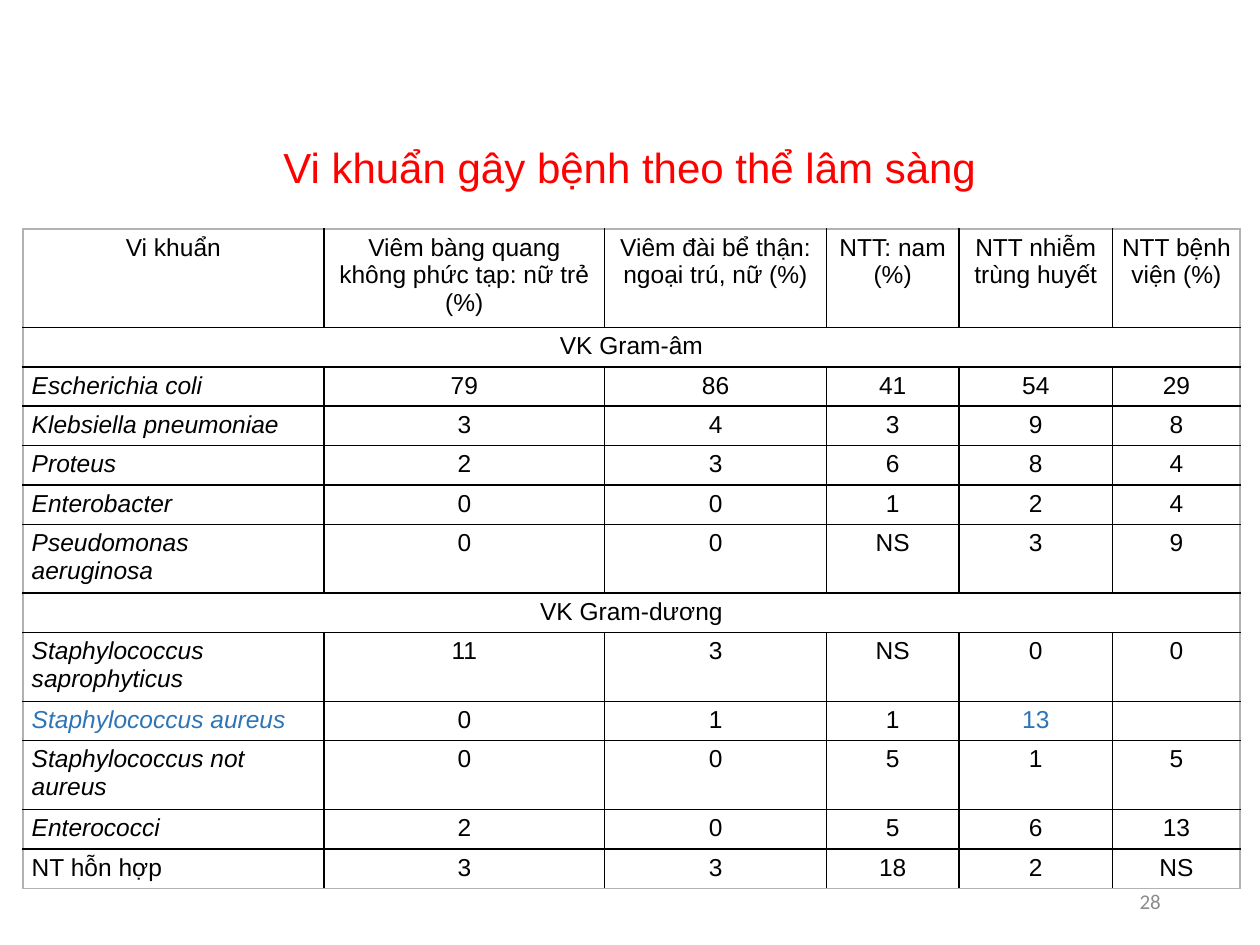
import lxml.etree
import pptx
import pptx.dml.color
import pptx.enum.text
import pptx.oxml.ns
import pptx.util

Cm = pptx.util.Cm
ALIGN = pptx.enum.text.PP_ALIGN
ANCHOR = pptx.enum.text.MSO_ANCHOR
COLORS = {"title": "FF0000", "text": "000000", "accent": "2E75B6",
          "number": "8C8C8C", "grid": "000000", "frame": "B2B2B2"}

COLUMN_WIDTHS = [6.07, 5.66, 4.47, 2.67, 3.1, 2.57]
ROW_HEIGHT, TALL_ROW_HEIGHT = 0.76, 1.35
TALL_ROWS = {0, 8, 10}
ROWS = [
    ["Vi khuẩn", "Viêm bàng quang không phức tạp: nữ trẻ (%)",
     "Viêm đài bể thận: ngoại trú, nữ (%)", "NTT: nam (%)",
     "NTT nhiễm trùng huyết", "NTT bệnh viện (%)"],
    ["VK Gram-âm"],
    ["Escherichia coli", "79", "86", "41", "54", "29"],
    ["Klebsiella pneumoniae", "3", "4", "3", "9", "8"],
    ["Proteus", "2", "3", "6", "8", "4"],
    ["Enterobacter", "0", "0", "1", "2", "4"],
    ["Pseudomonas aeruginosa", "0", "0", "NS", "3", "9"],
    ["VK Gram-dương"],
    ["Staphylococcus saprophyticus", "11", "3", "NS", "0", "0"],
    ["Staphylococcus aureus", "0", "1", "1", "13", ""],
    ["Staphylococcus not aureus", "0", "0", "5", "1", "5"],
    ["Enterococci", "2", "0", "5", "6", "13"],
    ["NT hỗn hợp", "3", "3", "18", "2", "NS"],
]
ACCENT_CELLS = {(9, 0), (9, 4)}


def write_text(frame, text, size=14, font="Arial", color="text",
               align=ALIGN.CENTER, italic=False):
    paragraph = frame.paragraphs[0]
    paragraph.alignment = align
    if not text:
        # An empty cell keeps the text size, so its row stays low
        end = lxml.etree.SubElement(paragraph._p, pptx.oxml.ns.qn("a:endParaRPr"))
        end.set("sz", str(size * 100))
        return
    run = paragraph.add_run()
    run.text = text
    run.font.size = pptx.util.Pt(size)
    run.font.name = font
    run.font.italic = italic
    run.font.color.rgb = pptx.dml.color.RGBColor.from_string(COLORS[color])


def set_border(cell, side, color):
    line = lxml.etree.SubElement(cell._tc.get_or_add_tcPr(),
                                 pptx.oxml.ns.qn(f"a:ln{side}"), w="12700")
    fill = lxml.etree.SubElement(line, pptx.oxml.ns.qn("a:solidFill"))
    lxml.etree.SubElement(fill, pptx.oxml.ns.qn("a:srgbClr"), val=COLORS[color])


class SlideBuilder:
    def __init__(self, presentation):
        self.slide = presentation.slides.add_slide(presentation.slide_layouts[5])

    def title(self, text, left, top, width, height):
        title = self.slide.shapes.title
        title.left, title.top = Cm(left), Cm(top)
        title.width, title.height = Cm(width), Cm(height)
        frame = title.text_frame
        frame.word_wrap = False
        frame.auto_size = pptx.enum.text.MSO_AUTO_SIZE.SHAPE_TO_FIT_TEXT
        frame.vertical_anchor = ANCHOR.TOP
        write_text(frame, text, size=24, color="title")

    def table(self, left, top, height):
        shape = self.slide.shapes.add_table(
            len(ROWS), len(COLUMN_WIDTHS), Cm(left), Cm(top),
            Cm(sum(COLUMN_WIDTHS)), Cm(height))
        table = shape.table
        table.first_row = table.horz_banding = False
        for column, width in zip(table.columns, COLUMN_WIDTHS):
            column.width = Cm(width)
        for index, row in enumerate(table.rows):
            row.height = Cm(TALL_ROW_HEIGHT if index in TALL_ROWS else ROW_HEIGHT)
        shape.height = Cm(height)

        last_row, last_column = len(ROWS) - 1, len(COLUMN_WIDTHS) - 1
        for row, values in enumerate(ROWS):
            section = len(values) == 1
            if section:
                table.cell(row, 0).merge(table.cell(row, last_column))
            for column in range(last_column + 1):
                cell = table.cell(row, column)
                cell.margin_left = cell.margin_right = Cm(0.18)
                cell.margin_top = cell.margin_bottom = Cm(0.1)
                # Light outer frame, black inner grid
                outer = {"L": column == 0, "R": column == last_column or section,
                         "T": row == 0, "B": row == last_row}
                for side, is_outer in outer.items():
                    set_border(cell, side, "frame" if is_outer else "grid")
                cell.fill.background()
                if column < len(values):
                    name = column == 0 and row > 0 and not section
                    write_text(
                        cell.text_frame, values[column],
                        color="accent" if (row, column) in ACCENT_CELLS else "text",
                        align=ALIGN.LEFT if name else ALIGN.CENTER,
                        italic=name and row < last_row)

    def slide_number(self, text, left, top, width, height):
        box = self.slide.shapes.add_textbox(Cm(left), Cm(top), Cm(width), Cm(height))
        box.text_frame.word_wrap = True
        box.text_frame.vertical_anchor = ANCHOR.MIDDLE
        write_text(box.text_frame, text, size=12, font="Calibri",
                   color="number", align=ALIGN.RIGHT)


def main():
    presentation = pptx.Presentation()
    presentation.slide_width, presentation.slide_height = Cm(25.4), Cm(19.05)
    builder = SlideBuilder(presentation)
    builder.title("Vi khuẩn gây bệnh theo thể lâm sàng", 5.38, 2.72, 14.63, 1.27)
    builder.table(0.46, 4.62, 13.13)
    builder.slide_number("28", 17.93, 17.65, 5.72, 1.02)
    presentation.save("out.pptx")


if __name__ == "__main__":
    main()
